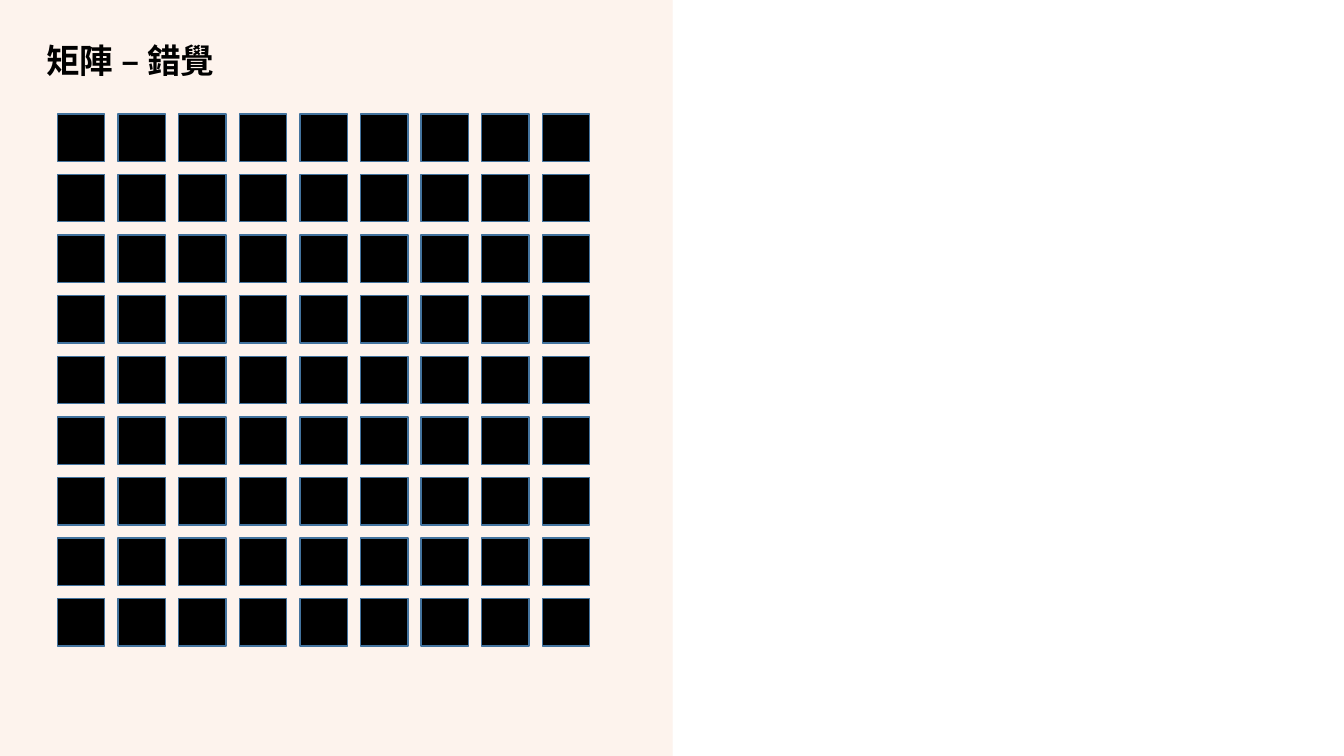
from itertools import product

from lxml.etree import SubElement
from pptx import Presentation
from pptx.dml.color import RGBColor
from pptx.enum.shapes import MSO_CONNECTOR, MSO_SHAPE
from pptx.enum.text import MSO_ANCHOR, MSO_AUTO_SIZE, PP_ALIGN
from pptx.oxml.ns import qn
from pptx.util import Inches, Pt

COLORS = {
    "panel": "F4B183",
    "divider": "FBE5D6",
    "title": "000000",
    "square": "000000",
    "square_edge": "43739E",
}
FONT = "Noto Sans CJK SC"
PANEL_WIDTH, SLIDE_HEIGHT = 6.67, 7.5
GRID_COUNT = 9
GRID_LEFT, GRID_TOP = 0.57, 1.13
GRID_PITCH = (5.38 - GRID_LEFT) / (GRID_COUNT - 1)
SQUARE_SIZE = 0.47


def color(name):
    return RGBColor.from_string(COLORS[name])


def set_opacity(fill_parent, percent):
    """Add an alpha value to the solid fill directly inside the given element."""
    rgb = fill_parent.find(qn("a:solidFill")).find(qn("a:srgbClr"))
    SubElement(rgb, qn("a:alpha"), val=str(percent * 1000))


def send_to_back(slide, *backdrop):
    for position, shape in enumerate(backdrop, start=2):
        slide.shapes._spTree.insert(position, shape._element)


def add_rectangle(shapes, left, top, width, height, fill):
    rectangle = shapes.add_shape(
        MSO_SHAPE.RECTANGLE, Inches(left), Inches(top), Inches(width), Inches(height)
    )
    rectangle.shadow.inherit = False
    rectangle.fill.solid()
    rectangle.fill.fore_color.rgb = color(fill)
    return rectangle


def add_panel(slide):
    panel = add_rectangle(slide.shapes, 0, 0, PANEL_WIDTH, SLIDE_HEIGHT, "panel")
    panel.line.fill.background()
    set_opacity(panel._element.spPr, 14)
    return panel


def add_divider(slide):
    divider = slide.shapes.add_connector(
        MSO_CONNECTOR.STRAIGHT,
        Inches(PANEL_WIDTH), Inches(SLIDE_HEIGHT), Inches(PANEL_WIDTH), Inches(0),
    )
    divider.line.color.rgb = color("divider")
    divider.line.width = Pt(0.25)
    properties = divider._element.spPr
    set_opacity(properties.find(qn("a:ln")), 50)
    SubElement(properties, qn("a:effectLst"))
    return divider


def fill_title(slide, text):
    title = slide.shapes.title
    title.left, title.top = Inches(0.36), Inches(0.4)
    title.width, title.height = Inches(5.95), Inches(0.44)
    frame = title.text_frame
    frame.auto_size = MSO_AUTO_SIZE.NONE
    frame.word_wrap = False
    frame.vertical_anchor = MSO_ANCHOR.MIDDLE
    paragraph = frame.paragraphs[0]
    paragraph.alignment = PP_ALIGN.LEFT
    paragraph.line_spacing = 0.9
    run = paragraph.add_run()
    run.text = text
    run.font.name = FONT
    run.font.size = Pt(24)
    run.font.bold = True
    run.font.color.rgb = color("title")
    SubElement(run.font._element, qn("a:ea"), typeface=FONT)


def add_square_grid(slide):
    grid = slide.shapes.add_group_shape()
    for row, column in product(range(GRID_COUNT), repeat=2):
        square = add_rectangle(
            grid.shapes,
            GRID_LEFT + column * GRID_PITCH,
            GRID_TOP + row * GRID_PITCH,
            SQUARE_SIZE, SQUARE_SIZE, "square",
        )
        square.line.color.rgb = color("square_edge")
        square.line.width = Pt(1)


def main():
    presentation = Presentation()
    presentation.slide_width = Inches(13.33)
    presentation.slide_height = Inches(SLIDE_HEIGHT)
    slide = presentation.slides.add_slide(presentation.slide_layouts[5])
    send_to_back(slide, add_panel(slide), add_divider(slide))
    fill_title(slide, "矩陣 – 錯覺")
    add_square_grid(slide)
    presentation.save("out.pptx")


if __name__ == "__main__":
    main()
